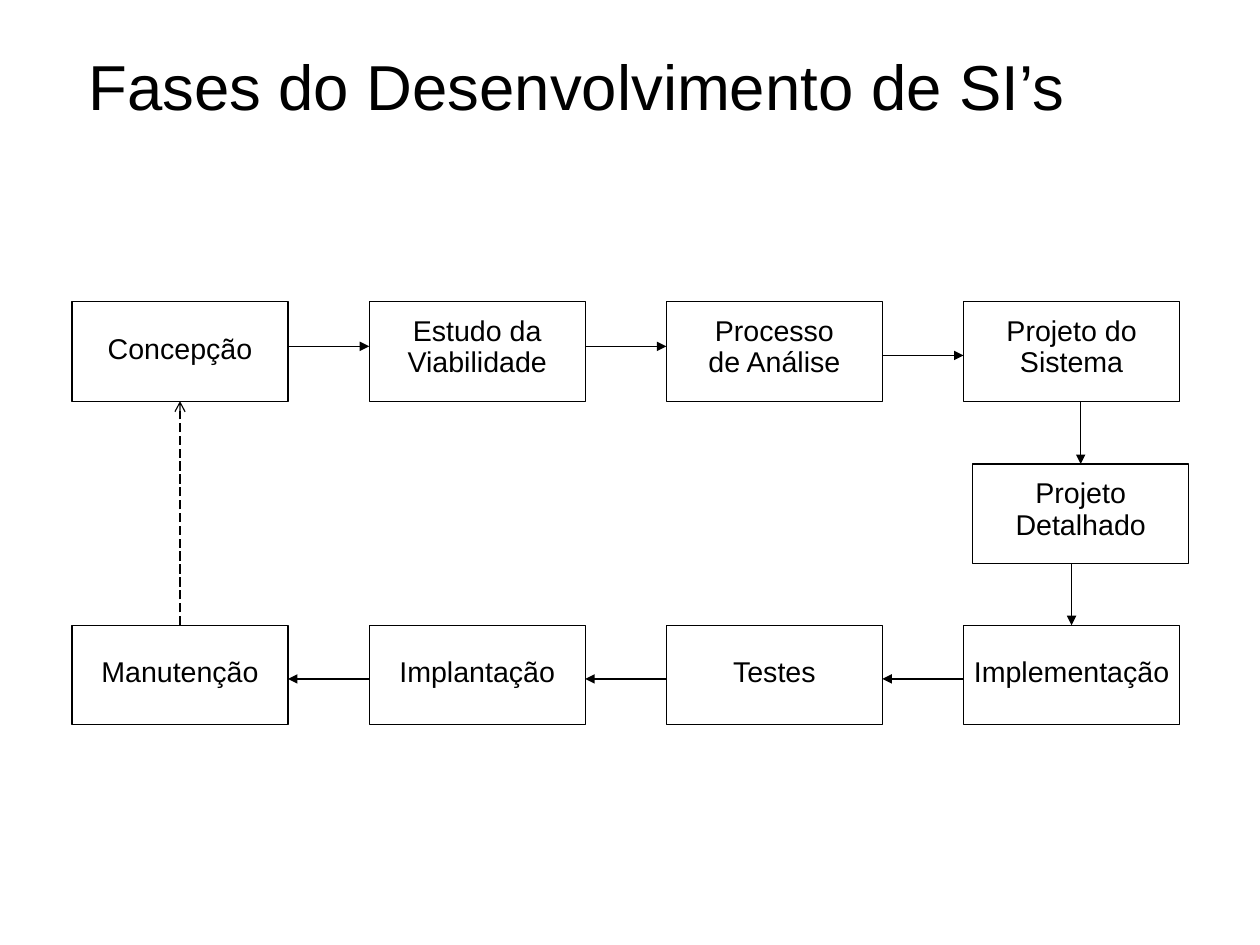
from dataclasses import dataclass

from pptx import Presentation
from pptx.dml.color import RGBColor
from pptx.enum.dml import MSO_LINE
from pptx.enum.shapes import MSO_CONNECTOR, MSO_SHAPE
from pptx.enum.text import MSO_ANCHOR, MSO_AUTO_SIZE, PP_ALIGN
from pptx.oxml.ns import qn
from pptx.util import Inches, Pt
from lxml.etree import SubElement


@dataclass(frozen=True)
class Theme:
    font: str = "Arial"
    ink: RGBColor = RGBColor(0, 0, 0)
    title_size: float = 40
    label_size: float = 18
    line_width: float = 0.75
    line_spacing: float = 0.93


# The page measures 28 by 21 centimetres
CM_PER_INCH = 2.54
PAGE_WIDTH, PAGE_HEIGHT = 28 / CM_PER_INCH, 21 / CM_PER_INCH

# Grid of the flow, in inches
LEFT, COLUMN_STEP = 0.63, 2.6
TOP_ROW, MIDDLE_ROW, BOTTOM_ROW = 2.64, 4.06, 5.47
BOX_WIDTH, BOX_HEIGHT = 1.89, 0.87
DETAIL_SHIFT = 0.08
SIDE_TOP, SIDE_BOTTOM = 0, 2


def write_text(frame, text, *, theme, size, insets):
    """Fill a text frame with one centred paragraph."""
    frame.word_wrap = True
    frame.auto_size = MSO_AUTO_SIZE.NONE
    frame.vertical_anchor = MSO_ANCHOR.MIDDLE
    (frame.margin_left, frame.margin_top,
     frame.margin_right, frame.margin_bottom) = map(Inches, insets)
    paragraph = frame.paragraphs[0]
    paragraph.alignment = PP_ALIGN.CENTER
    paragraph.line_spacing = theme.line_spacing
    paragraph.space_before = Pt(0)
    run = paragraph.add_run()
    run.text = text
    run.font.name = theme.font
    run.font.size = Pt(size)
    run.font.color.rgb = theme.ink


class FlowSlide:
    def __init__(self, presentation, theme):
        self.theme = theme
        self.slide = presentation.slides.add_slide(presentation.slide_layouts[5])

    def title(self, text, left, top, width, height):
        shape = self.slide.shapes.title
        shape.left, shape.top = Inches(left), Inches(top)
        shape.width, shape.height = Inches(width), Inches(height)
        write_text(shape.text_frame, text, theme=self.theme,
                   size=self.theme.title_size, insets=(0, 0.04, 0, 0))

    def box(self, text, left, top):
        shape = self.slide.shapes.add_shape(
            MSO_SHAPE.RECTANGLE, Inches(left), Inches(top),
            Inches(BOX_WIDTH), Inches(BOX_HEIGHT))
        shape.shadow.inherit = False
        shape.fill.background()
        self.stroke(shape.line)
        # Labels of several words break into two lines and sit a little higher
        side, bottom = (0.27, 0.1) if " " in text else (0.04, 0.06)
        write_text(shape.text_frame, text, theme=self.theme,
                   size=self.theme.label_size, insets=(side, 0.03, side, bottom))
        return shape

    def arrow(self, start, end, *, begin=None, finish=None,
              head="triangle", dash=None):
        """Draw an arrow; begin and finish are (shape, side) joints."""
        connector = self.slide.shapes.add_connector(
            MSO_CONNECTOR.STRAIGHT, *map(Inches, (*start, *end)))
        if begin:
            connector.begin_connect(*begin)
        if finish:
            connector.end_connect(*finish)
        self.stroke(connector.line)
        if dash:
            connector.line.dash_style = dash
        properties = connector._element.spPr.find(qn("a:ln"))
        SubElement(properties, qn("a:tailEnd"), type=head)
        SubElement(connector._element.spPr, qn("a:effectLst"))

    def stroke(self, line):
        line.color.rgb = self.theme.ink
        line.width = Pt(self.theme.line_width)


def main():
    presentation = Presentation()
    presentation.slide_width = Inches(PAGE_WIDTH)
    presentation.slide_height = Inches(PAGE_HEIGHT)
    flow = FlowSlide(presentation, Theme())
    flow.title("Fases do Desenvolvimento de SI’s", 0.08, 0.12, 9.92, 1.28)

    # Phases
    columns = [LEFT + COLUMN_STEP * index for index in range(4)]
    top_labels = ["Concepção", "Estudo da Viabilidade",
                  "Processo de Análise", "Projeto do Sistema"]
    bottom_labels = ["Manutenção", "Implantação", "Testes", "Implementação"]
    top = [flow.box(text, left, TOP_ROW)
           for text, left in zip(top_labels, columns)]
    bottom = [flow.box(text, left, BOTTOM_ROW)
              for text, left in zip(bottom_labels, columns)]
    detail_left = columns[3] + DETAIL_SHIFT
    detail = flow.box("Projeto Detalhado", detail_left, MIDDLE_ROW)

    # Arrows along the rows: rightwards on top, leftwards below
    for left, right, height in zip(columns, columns[1:], (3.03, 3.03, 3.11)):
        edge = left + BOX_WIDTH
        flow.arrow((edge, height), (right, height))
        flow.arrow((right, 5.94), (edge, 5.94))

    # Arrows between the rows
    half = BOX_WIDTH / 2
    detail_center, last_center = detail_left + half, columns[3] + half
    flow.arrow((detail_center, TOP_ROW + BOX_HEIGHT),
               (detail_center, MIDDLE_ROW), finish=(detail, SIDE_TOP))
    flow.arrow((last_center, MIDDLE_ROW + BOX_HEIGHT),
               (last_center, BOTTOM_ROW), finish=(bottom[3], SIDE_TOP))
    first_center = columns[0] + half
    flow.arrow((first_center, BOTTOM_ROW), (first_center, TOP_ROW + BOX_HEIGHT),
               begin=(bottom[0], SIDE_TOP), finish=(top[0], SIDE_BOTTOM),
               head="arrow", dash=MSO_LINE.LONG_DASH)

    presentation.save("out.pptx")


if __name__ == "__main__":
    main()
